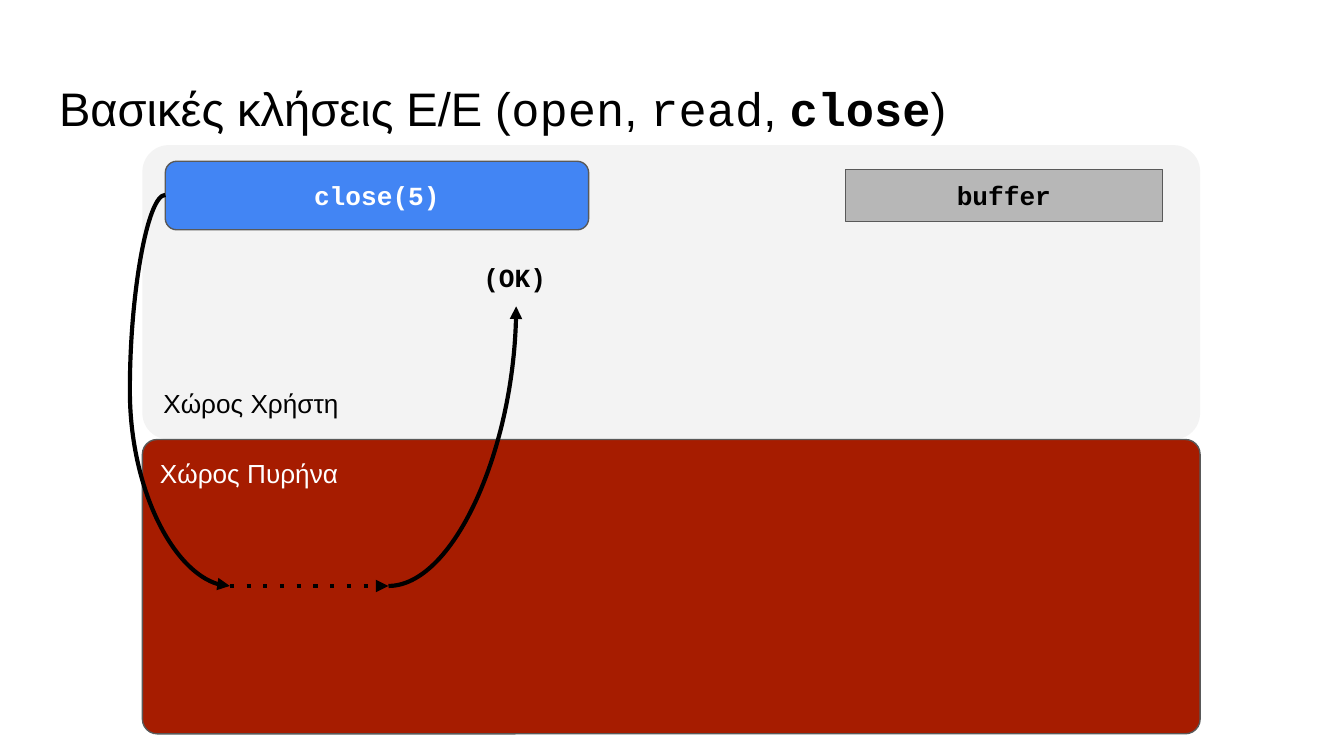
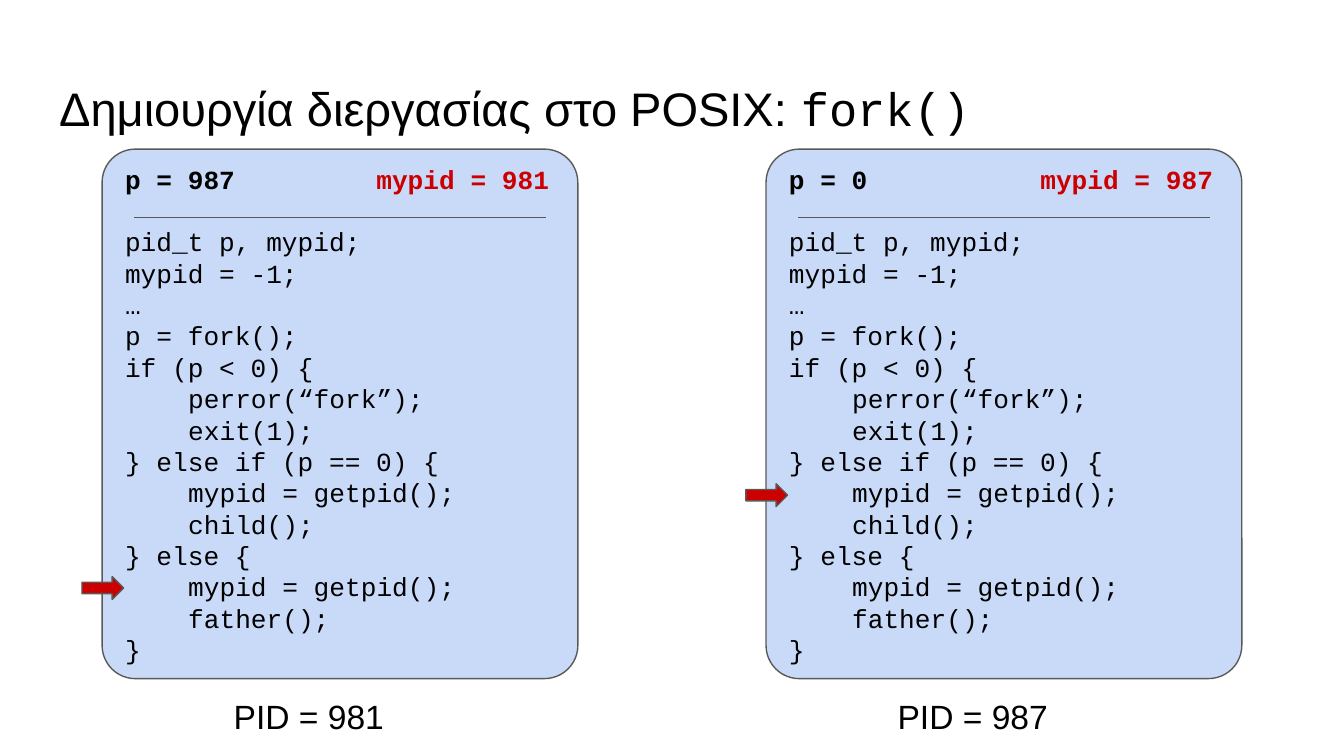
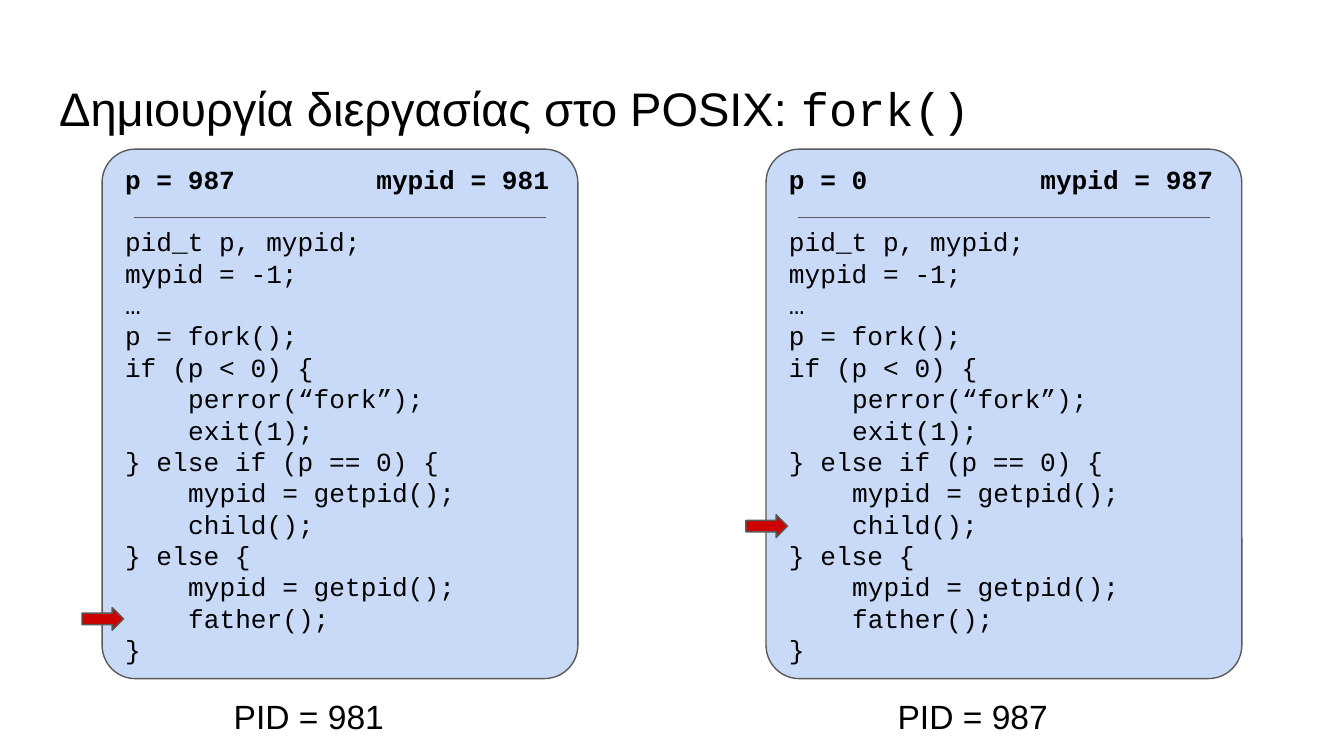
from pptx import Presentation
from pptx.dml.color import RGBColor
from pptx.enum.shapes import MSO_CONNECTOR, MSO_SHAPE
from pptx.enum.text import MSO_ANCHOR, MSO_AUTO_SIZE, PP_ALIGN
from pptx.oxml.ns import qn
from pptx.util import Inches, Pt
from lxml.etree import SubElement

SLIDE_WIDTH, SLIDE_HEIGHT = Inches(10), Inches(5.625)
UNIT = SLIDE_WIDTH // 100

SANS, MONO = "Arial", "Courier New"
BLACK, WHITE, EDGE = "000000", "FFFFFF", "595959"
USER_GREY, BUFFER_GREY, KERNEL_RED = "F3F3F3", "B7B7B7", "A61C00"
CALL_BLUE, PANEL_BLUE, MARK_RED = "4285F4", "C9DAF8", "CC0000"

PANEL_TOP, PANEL_LEFTS = 11.1, (7.6, 57)
CODE_TOP, CODE_PITCH = 17.6, 2.3
LINE_HEIGHT = Pt(16.8)
TAB_STOP, INDENT = Inches(1.87), Inches(0.47)

CODE = """pid_t p, mypid;
mypid = -1;
…
p = fork();
if (p < 0) {
    perror(“fork”);
    exit(1);
} else if (p == 0) {
    mypid = getpid();
    child();
} else {
    mypid = getpid();
    father();
}""".splitlines()

FORK_TITLE = [("Δημιουργία διεργασίας στο POSIX: ", {}), ("fork()", {"font": MONO})]
IO_TITLE = [
    ("Βασικές κλήσεις E/E (", {}),
    ("open", {"font": MONO}),
    (", ", {}),
    ("read", {"font": MONO}),
    (", ", {}),
    ("close", {"font": MONO, "bold": True}),
    (")", {}),
]


def rgb(value):
    return RGBColor.from_string(value)


def units(*values):
    return [round(value * UNIT) for value in values]


def write(para, text, font=SANS, size=14, color=BLACK, bold=False):
    span = para.add_run()
    span.text = text
    span.font.name = font
    span.font.size = Pt(size)
    span.font.color.rgb = rgb(color)
    span.font.bold = bold


def set_frame(box, anchor):
    frame = box.text_frame
    frame.word_wrap = True
    frame.auto_size = MSO_AUTO_SIZE.NONE
    frame.vertical_anchor = anchor
    frame.margin_left = frame.margin_right = UNIT
    frame.margin_top = frame.margin_bottom = UNIT
    return frame.paragraphs[0]


def add_title(page, spans):
    title = page.shapes.title
    title.left, title.top, title.width, title.height = units(3.4, 4.9, 93.2, 6.3)
    para = set_frame(title, MSO_ANCHOR.TOP)
    para.alignment = PP_ALIGN.LEFT
    for text, style in spans:
        write(para, text, size=25.2, **style)


def add_box(page, kind, area, fill=None, edge=EDGE, rounding=None,
            anchor=MSO_ANCHOR.MIDDLE, align=PP_ALIGN.LEFT, text="", **style):
    box = page.shapes.add_shape(kind, *units(*area))
    box.shadow.inherit = False
    if rounding is not None:
        box.adjustments[0] = rounding
    if fill:
        box.fill.solid()
        box.fill.fore_color.rgb = rgb(fill)
    else:
        box.fill.background()
    if edge:
        box.line.color.rgb = rgb(edge)
        box.line.width = Pt(0.75)
    else:
        box.line.fill.background()
    para = set_frame(box, anchor)
    para.alignment = align
    if text:
        write(para, text, **style)
    return box


def add_link(page, start, end, kind=MSO_CONNECTOR.STRAIGHT, color=BLACK,
             weight=2.25, dash=None, arrow=True):
    link = page.shapes.add_connector(kind, *units(*start, *end))
    link.line.color.rgb = rgb(color)
    link.line.width = Pt(weight)
    properties = link._element.spPr
    outline = properties.find(qn("a:ln"))
    if dash:
        SubElement(outline, qn("a:prstDash"), val=dash)
    if arrow:
        SubElement(outline, qn("a:tailEnd"), type="triangle")
    SubElement(properties, qn("a:effectLst"))
    return properties


def bow(properties, share):
    guides = properties.find(qn("a:prstGeom")).find(qn("a:avLst"))
    SubElement(guides, qn("a:gd"), name="adj1", fmla=f"val {round(share * 100000)}")


def quarter_turn(properties):
    properties.find(qn("a:prstGeom")).set("prst", "curvedConnector2")
    placement = properties.find(qn("a:xfrm"))
    placement.attrib.pop("flipV", None)
    placement.set("rot", "10800000")
    placement.set("flipH", "1")


def add_code_line(frame, line):
    para = frame.add_paragraph()
    para.line_spacing = LINE_HEIGHT
    text = line.lstrip()
    if text != line:
        para._p.get_or_add_pPr().set("marL", str(INDENT))
    write(para, text, font=MONO)


def add_process(page, left, fork_result, pid, current, pid_color):
    panel = add_box(page, MSO_SHAPE.ROUNDED_RECTANGLE, (left, PANEL_TOP, 35.4, 39.4),
                    fill=PANEL_BLUE, rounding=0.07)
    frame = panel.text_frame
    heading = frame.paragraphs[0]
    heading.line_spacing = heading.space_after = LINE_HEIGHT
    tabs = SubElement(heading._p.get_or_add_pPr(), qn("a:tabLst"))
    SubElement(tabs, qn("a:tab"), pos=str(TAB_STOP), algn="l")
    write(heading, f"p = {fork_result}\t", font=MONO, bold=True)
    write(heading, f"mypid = {pid}", font=MONO, bold=True, color=pid_color)
    for line in CODE:
        add_code_line(frame, line)

    caption = page.shapes.add_textbox(*units(left + 8.8, 51.3, 13.9, 3.9))
    write(set_frame(caption, MSO_ANCHOR.MIDDLE), f"PID = {pid}", size=18)
    add_link(page, (left + 2.4, 16.2), (left + 33, 16.2),
             color=EDGE, weight=0.75, arrow=False)
    add_box(page, MSO_SHAPE.RIGHT_ARROW,
            (left - 1.5, CODE_TOP + current * CODE_PITCH, 3.1, 1.7), fill=MARK_RED)


def build_close_page(page):
    add_title(page, IO_TITLE)
    add_box(page, MSO_SHAPE.ROUNDED_RECTANGLE, (10.6, 10.8, 78.7, 21.9),
            fill=USER_GREY, edge=None, rounding=0.09, anchor=MSO_ANCHOR.BOTTOM,
            text="Χώρος Χρήστη")
    add_box(page, MSO_SHAPE.RECTANGLE, (62.9, 12.6, 23.6, 3.9), fill=BUFFER_GREY,
            align=PP_ALIGN.CENTER, text="buffer", font=MONO, bold=True)
    add_box(page, MSO_SHAPE.ROUNDED_RECTANGLE, (10.6, 32.7, 78.7, 21.9),
            fill=KERNEL_RED, rounding=0.05, anchor=MSO_ANCHOR.TOP,
            text="Χώρος Πυρήνα", color=WHITE)
    add_box(page, MSO_SHAPE.ROUNDED_RECTANGLE, (12.3, 12, 31.5, 5.1), fill=CALL_BLUE,
            align=PP_ALIGN.CENTER, text="close(5)", font=MONO, color=WHITE, bold=True)

    entry, leave = (17.1, 43.6), (28.9, 43.6)
    bow(add_link(page, (12.3, 14.5), entry, kind=MSO_CONNECTOR.CURVE), -0.55)
    quarter_turn(add_link(page, leave, (38.4, 22.8), kind=MSO_CONNECTOR.CURVE))
    add_link(page, entry, leave, dash="dot")
    add_box(page, MSO_SHAPE.OVAL, (33.4, 18.5, 9.8, 4.3), edge=None,
            align=PP_ALIGN.CENTER, text="(OK)", font=MONO, bold=True)


def build_fork_page(page, parent_row, child_row, pid_color=BLACK):
    add_title(page, FORK_TITLE)
    processes = ((987, 981, parent_row), (0, 987, child_row))
    for left, (fork_result, pid, row) in zip(PANEL_LEFTS, processes):
        add_process(page, left, fork_result, pid, row, pid_color)


def main():
    deck = Presentation()
    deck.slide_width, deck.slide_height = SLIDE_WIDTH, SLIDE_HEIGHT
    title_only = deck.slide_layouts[5]
    build_close_page(deck.slides.add_slide(title_only))
    build_fork_page(deck.slides.add_slide(title_only), 11, 8, pid_color=MARK_RED)
    build_fork_page(deck.slides.add_slide(title_only), 12, 9)
    deck.save("out.pptx")


if __name__ == "__main__":
    main()
